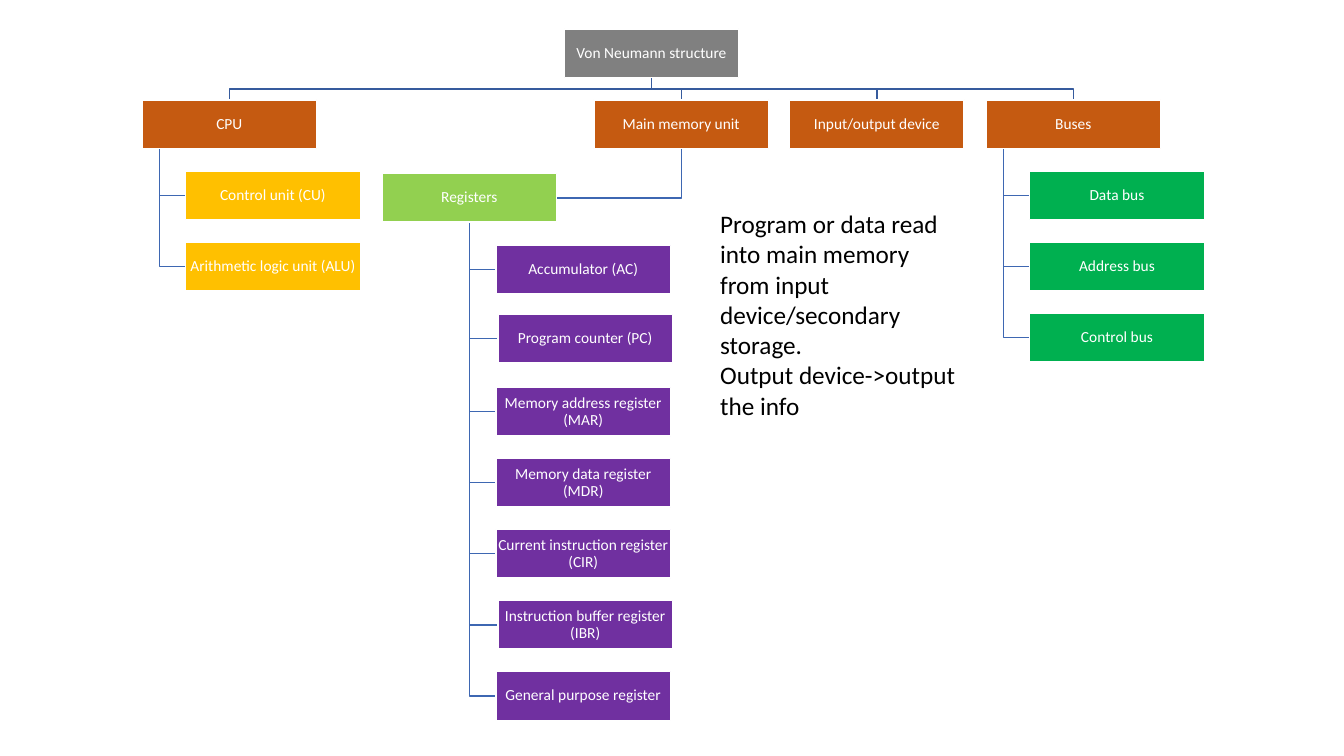
from dataclasses import dataclass
from typing import Any

from pptx import Presentation
from pptx import util as u
from pptx.dml import color
from pptx.enum import shapes, text

WIDTH, HEIGHT = 4.4, 1.23
TOP, STEP = 0.73, 1.79
INDENT, TRUNK = 1.1, 0.44
REGISTERS_TOP, REGISTER_LEFT, REGISTER_TOP = 4.37, 12.5, 6.18
BRANCH_LINE, LEAF_LINE = "365B9D", "3E67B2"
MARGINS = ("margin_left", "margin_top", "margin_right", "margin_bottom")
Point = tuple[float, float]


@dataclass
class Node:
    label: str
    left: float
    top: float
    fill: str

    @property
    def centre(self) -> float:
        return self.left + WIDTH / 2

    @property
    def middle(self) -> float:
        return self.top + HEIGHT / 2

    @property
    def bottom(self) -> float:
        return self.top + HEIGHT


@dataclass
class Link:
    points: list[Point]
    colour: str = LEAF_LINE


def row(number: int) -> float:
    return TOP + number * STEP


def rgb(value: str) -> color.RGBColor:
    return color.RGBColor.from_string(value)


def apply(target: Any, values: dict[str, Any]) -> None:
    for name, value in values.items():
        setattr(target, name, value)


def write(para: Any, words: str, size: float, colour: str) -> None:
    span = para.add_run()
    span.text = words
    apply(span.font, {"size": u.Pt(size), "name": "Calibri"})
    span.font.color.rgb = rgb(colour)


def outline(shape: Any, colour: str) -> None:
    shape.shadow.inherit = False
    shape.line.color.rgb = rgb(colour)
    shape.line.width = u.Pt(1)


def draw_link(page: Any, link: Link) -> None:
    start, *rest = [(u.Cm(x), u.Cm(y)) for x, y in link.points]
    builder = page.shapes.build_freeform(*start)
    builder.add_line_segments(rest, close=False)
    line = builder.convert_to_shape()
    line.fill.background()
    outline(line, link.colour)


def draw_node(page: Any, node: Node) -> None:
    area = [u.Cm(n) for n in (node.left, node.top, WIDTH, HEIGHT)]
    box = page.shapes.add_shape(shapes.MSO_SHAPE.RECTANGLE, *area)
    box.fill.solid()
    box.fill.fore_color.rgb = rgb(node.fill)
    outline(box, "FFFFFF")
    frame = box.text_frame
    apply(frame, {name: u.Cm(0.02) for name in MARGINS})
    apply(frame, {"word_wrap": True, "vertical_anchor": text.MSO_ANCHOR.MIDDLE})
    para = frame.paragraphs[0]
    apply(para, {"alignment": text.PP_ALIGN.CENTER, "line_spacing": 0.9})
    write(para, node.label, 11, "FFFFFF")


def draw_note(page: Any, lines: list[str]) -> None:
    box = page.shapes.add_textbox(u.Cm(17.9), u.Cm(5.13), u.Cm(6.58), u.Cm(5.64))
    frame = box.text_frame
    apply(frame, {"word_wrap": True, "auto_size": text.MSO_AUTO_SIZE.SHAPE_TO_FIT_TEXT})
    for index, words in enumerate(lines):
        para = frame.add_paragraph() if index else frame.paragraphs[0]
        write(para, words, 18, "000000")


def column(parent: Node, labels: list[str], fill: str) -> list[Node]:
    left = parent.left + INDENT
    return [Node(label, left, row(i), fill) for i, label in enumerate(labels, 2)]


def branch(parent: Node, child: Node) -> Link:
    bend = (parent.bottom + child.top) / 2
    points = [(parent.centre, parent.bottom), (parent.centre, bend),
              (child.centre, bend), (child.centre, child.top)]
    return Link(points, BRANCH_LINE)


def hang(trunk: float, parent: Node, children: list[Node]) -> list[Link]:
    return [Link([(trunk, parent.bottom), (trunk, child.middle), (child.left, child.middle)])
            for child in children]


def main() -> None:
    deck = Presentation()
    apply(deck, {"slide_width": u.Cm(33.87), "slide_height": u.Cm(19.05)})
    page = deck.slides.add_slide(deck.slide_layouts[6])

    root = Node("Von Neumann structure", 14.22, row(0), "808080")
    units = [Node(label, left, row(1), "C55A11") for label, left in (
        ("CPU", 3.58), ("Main memory unit", 14.97),
        ("Input/output device", 19.9), ("Buses", 24.85))]
    cpu, memory, _, buses = units
    cpu_parts = column(cpu, ["Control unit (CU)", "Arithmetic logic unit (ALU)"], "FFC000")
    bus_kinds = column(buses, ["Data bus", "Address bus", "Control bus"], "00B050")
    registers = Node("Registers", 9.63, REGISTERS_TOP, "92D050")
    register_kinds = [
        Node(label, REGISTER_LEFT + right, REGISTER_TOP + i * STEP + down, "7030A0")
        for i, (label, right, down) in enumerate((
            ("Accumulator (AC)", 0, 0),
            ("Program counter (PC)", 0.05, -0.05),
            ("Memory address register (MAR)", 0, 0),
            ("Memory data register (MDR)", 0, 0),
            ("Current instruction register (CIR)", 0, 0),
            ("Instruction buffer register (IBR)", 0.05, 0),
            ("General purpose register", 0, 0)))]

    links = [branch(root, unit) for unit in units]
    links += hang(cpu.left + TRUNK, cpu, cpu_parts)
    links += hang(buses.left + TRUNK, buses, bus_kinds)
    links += hang(registers.centre, registers, register_kinds)
    links.append(Link([(memory.centre, memory.bottom), (memory.centre, registers.middle),
                       (registers.left + WIDTH, registers.middle)]))

    for link in links:
        draw_link(page, link)
    for node in [root, *units, *cpu_parts, registers, *register_kinds, *bus_kinds]:
        draw_node(page, node)
    draw_note(page, [
        "Program or data read into main memory from input device/secondary storage.",
        "Output device->output the info"])
    deck.save("out.pptx")


if __name__ == "__main__":
    main()
